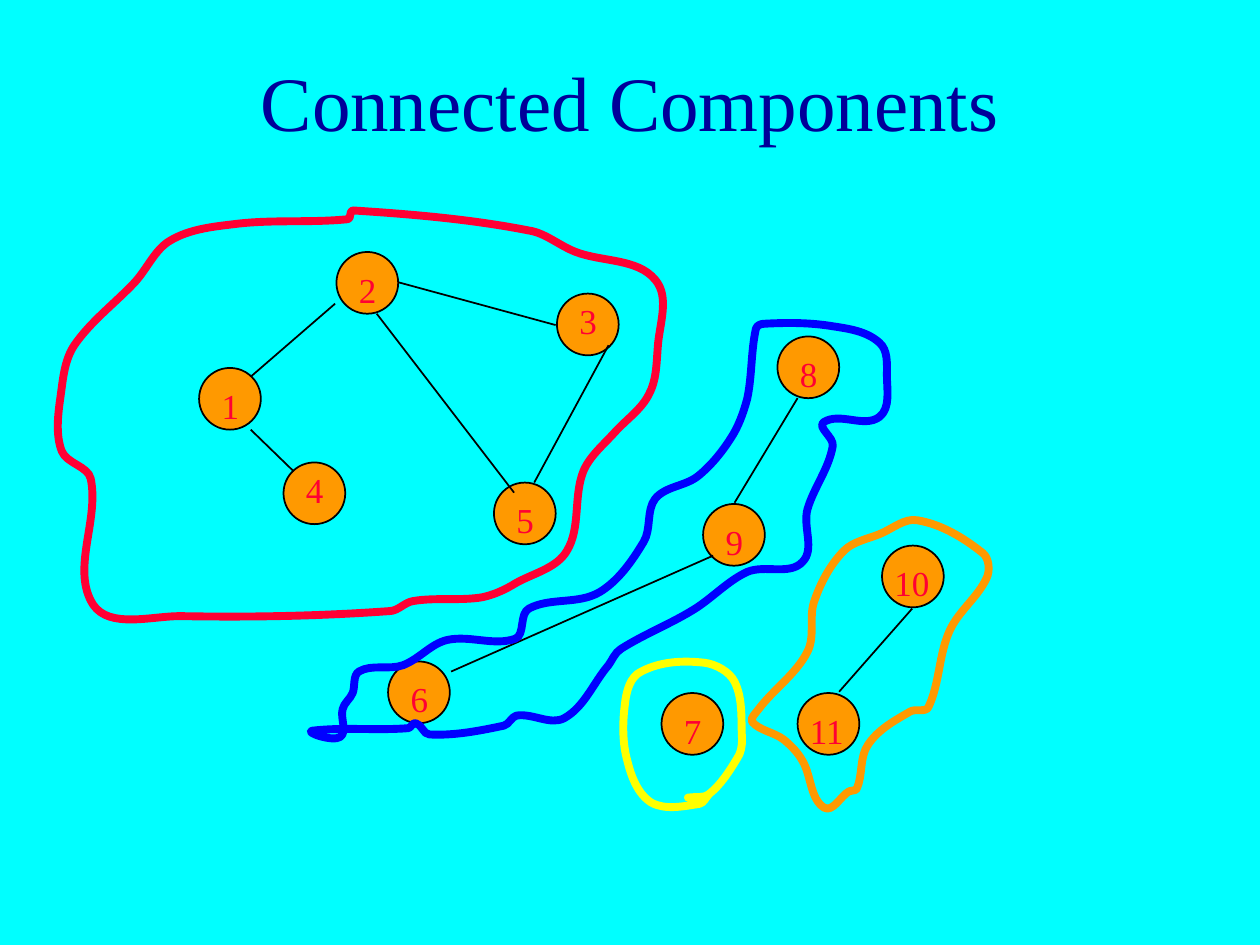
import math

import lxml.etree
import pptx
import pptx.dml.color
import pptx.enum.shapes
import pptx.enum.text
import pptx.oxml.ns
import pptx.util

COLORS = {
    "background": "00FFFF", "title": "000099", "node": "FF9900", "edge": "000000",
    "label": "FF0033", "red": "FF0033", "blue": "0000FF", "yellow": "FFFF00", "orange": "FF9900",
}
FONT = "Times New Roman"
DIAMETER = 0.49
LABEL_SHIFT = 0.08
RAISED_LABELS = {"3", "4"}
NODES = {
    "1": (1.58, 2.92), "2": (2.67, 2), "3": (4.42, 2.33), "8": (6.17, 2.67),
    "10": (7, 4.33), "4": (2.25, 3.67), "5": (3.92, 3.83), "9": (5.58, 4),
    "11": (6.33, 5.5), "6": (3.08, 5.25), "7": (5.25, 5.5),
}
EDGES = [
    (2.66, 2.41, 1.99, 2.99), (2.99, 2.49, 4.08, 3.91), (1.99, 3.41, 2.33, 3.74),
    (4.83, 2.74, 4.24, 3.83), (6.33, 3.16, 5.83, 3.99), (6.66, 5.49, 7.24, 4.83),
    (3.16, 2.24, 4.41, 2.58), (3.58, 5.33, 5.66, 4.41),
]
LOOPS = {
    "red": [
        (74, 480), (143, 489), (309, 485), (328, 477), (383, 474), (409, 463), (450, 437),
        (463, 374), (488, 343), (515, 313), (522, 276), (520, 222), (457, 200), (420, 183),
        (280, 167), (276, 174), (185, 178), (135, 191), (107, 224), (59, 274), (48, 315),
        (49, 358), (72, 380),
    ],
    "blue": [
        (270, 585), (272, 563), (280, 550), (285, 533), (320, 528), (355, 508), (409, 507),
        (420, 483), (476, 470), (511, 430), (520, 396), (554, 378), (580, 348), (593, 317),
        (600, 261), (607, 257), (661, 259), (698, 272), (704, 298), (698, 331), (654, 335),
        (661, 354), (641, 404), (637, 446), (593, 454), (552, 483), (493, 515), (483, 528),
        (448, 570), (410, 568), (400, 576), (341, 583), (330, 574), (324, 578), (248, 580),
    ],
    "yellow": [
        (546, 633), (563, 630), (585, 602), (589, 587), (583, 541), (559, 526), (509, 533),
        (496, 559), (498, 604), (517, 637), (555, 638), (563, 630),
    ],
    "orange": [
        (674, 628), (680, 626), (689, 591), (722, 565), (737, 561), (754, 500), (783, 459),
        (780, 439), (728, 413), (698, 424), (670, 437), (646, 478), (641, 517), (602, 563),
        (597, 573), (622, 587), (637, 604), (654, 641),
    ],
}


def inches(value):
    """Return a length in inches as centimetres."""
    return pptx.util.Cm(value * 2.54)


def color(name):
    """Return the named colour."""
    return pptx.dml.color.RGBColor.from_string(COLORS[name])


def set_line(shape, name, width):
    """Give a shape or connector a solid line."""
    shape.line.color.rgb = color(name)
    shape.line.width = pptx.util.Pt(width)


def add_text(slide, text, box, size, name):
    """Add a wrapped text box and return it."""
    shape = slide.shapes.add_textbox(*map(inches, box))
    shape.text_frame.word_wrap = True
    paragraph = shape.text_frame.paragraphs[0]
    paragraph.text = text
    paragraph.font.name = FONT
    paragraph.font.size = pptx.util.Pt(size)
    paragraph.font.color.rgb = color(name)
    return shape


def add_title(slide, text):
    """Add the centred slide title."""
    shape = add_text(slide, text, (0.75, 0.17, 8.5, 1.25), 44, "title")
    shape.text_frame.vertical_anchor = pptx.enum.text.MSO_ANCHOR.MIDDLE
    shape.text_frame.paragraphs[0].alignment = pptx.enum.text.PP_ALIGN.CENTER


def add_node(slide, left, top):
    """Add one graph node."""
    shape = slide.shapes.add_shape(
        pptx.enum.shapes.MSO_SHAPE.OVAL, *map(inches, (left, top, DIAMETER, DIAMETER)))
    shape.shadow.inherit = False
    shape.fill.solid()
    shape.fill.fore_color.rgb = color("node")
    set_line(shape, "edge", 1)


def add_edge(slide, ends):
    """Add one straight graph edge."""
    connector = slide.shapes.add_connector(
        pptx.enum.shapes.MSO_CONNECTOR.STRAIGHT, *map(inches, ends))
    set_line(connector, "edge", 1)
    lxml.etree.SubElement(connector._element.spPr, pptx.oxml.ns.qn("a:effectLst"))


def add_label(slide, text, left, top):
    """Add the number of a node."""
    right = LABEL_SHIFT if len(text) == 1 else 0
    down = 0 if text in RAISED_LABELS else LABEL_SHIFT
    box = (left + right, top + down, 0.25 * len(text), 0.43)
    shape = add_text(slide, text, box, 20, "label")
    shape.text_frame.auto_size = pptx.enum.text.MSO_AUTO_SIZE.SHAPE_TO_FIT_TEXT
    shape.text_frame.paragraphs[0].space_before = pptx.util.Pt(12.5)


def smooth(points, closed):
    """Return Bezier points of a smooth curve through the given points."""
    before = points[-1:] if closed else points[:1]
    after = points[:2] if closed else points[-1:]
    chain = before + points + after
    curve = [points[0]]
    for previous, start, end, following in zip(chain, chain[1:], chain[2:], chain[3:]):
        reach = math.dist(start, end) / 3
        for anchor, tail, head, sign in ((start, previous, end, 1), (end, start, following, -1)):
            scale = sign * reach / math.dist(tail, head)
            curve.append(tuple(a + scale * (h - t) for a, t, h in zip(anchor, tail, head)))
        curve.append(end)
    return curve


def add_loop(slide, points, name, closed):
    """Add a curved outline, turning each three segments into one Bezier curve."""
    qn = pptx.oxml.ns.qn
    curve_points = smooth(points, closed)
    builder = slide.shapes.build_freeform(*curve_points[0], scale=inches(0.01))
    builder.add_line_segments(curve_points[1:], close=closed)
    shape = builder.convert_to_shape()
    shape.shadow.inherit = False
    shape.fill.background()
    set_line(shape, name, 4.5)
    line = shape.line._get_or_add_ln()
    line.set("cap", "rnd")
    lxml.etree.SubElement(line, qn("a:round"))
    segments = list(shape._element.iter(qn("a:lnTo")))
    for first, *others in zip(segments[::3], segments[1::3], segments[2::3]):
        curve = lxml.etree.Element(qn("a:cubicBezTo"))
        first.addprevious(curve)
        for segment in (first, *others):
            curve.append(segment[0])
            segment.getparent().remove(segment)


def main():
    """Build the slide and save it."""
    presentation = pptx.Presentation()
    presentation.slide_width, presentation.slide_height = inches(10), inches(7.5)
    slide = presentation.slides.add_slide(presentation.slide_layouts[6])
    slide.background.fill.solid()
    slide.background.fill.fore_color.rgb = color("background")
    add_title(slide, "Connected Components")
    for position in NODES.values():
        add_node(slide, *position)
    for ends in EDGES:
        add_edge(slide, ends)
    for text, position in NODES.items():
        add_label(slide, text, *position)
    for name, points in LOOPS.items():
        add_loop(slide, points, name, closed=name != "yellow")
    presentation.save("out.pptx")


if __name__ == "__main__":
    main()
